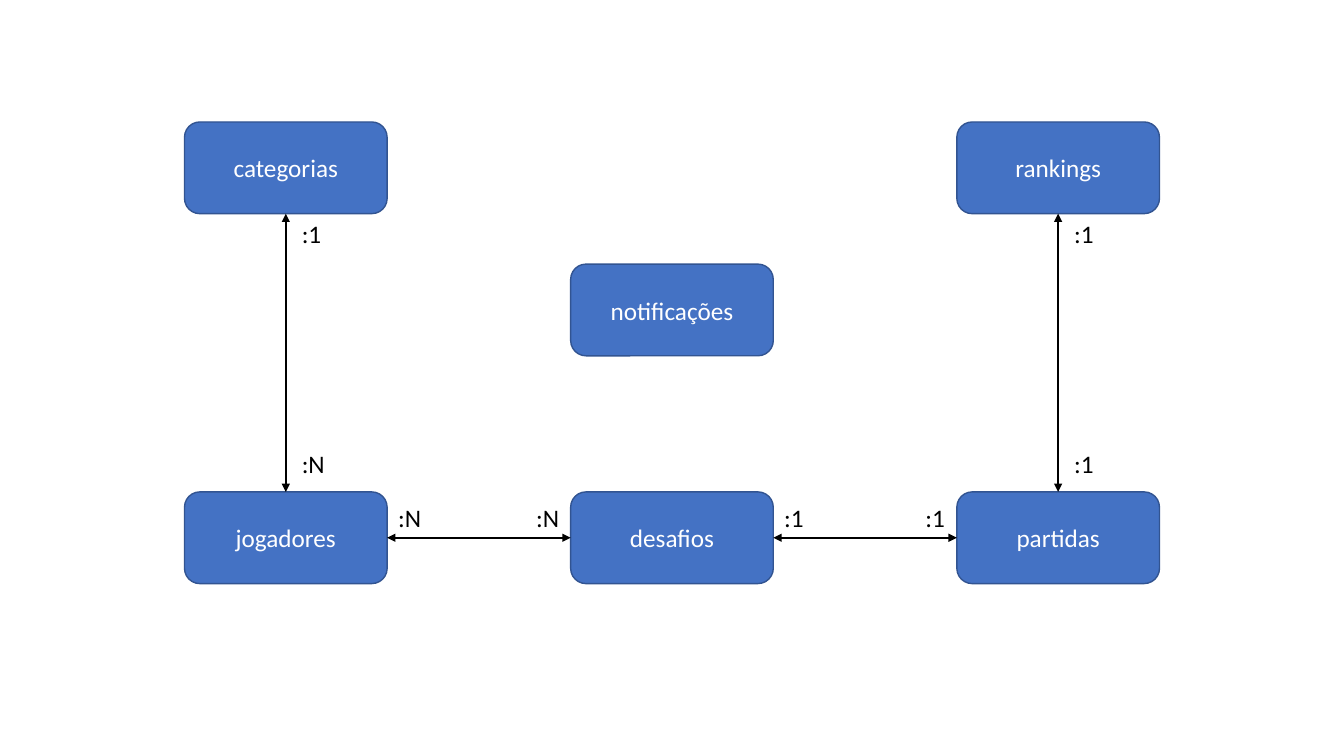
from pptx import Presentation
from pptx.dml.color import RGBColor
from pptx.enum.shapes import MSO_CONNECTOR as Connector, MSO_SHAPE as Shape
from pptx.enum.text import MSO_ANCHOR as Anchor, MSO_AUTO_SIZE as AutoSize, PP_ALIGN as Align
from pptx.oxml.ns import qn
from pptx.util import Inches, Pt
from lxml.etree import SubElement

BLUE = RGBColor(0x44, 0x72, 0xC4)
DARK_BLUE = RGBColor(0x32, 0x54, 0x91)
WHITE = RGBColor(0xFF, 0xFF, 0xFF)
BLACK = RGBColor(0x00, 0x00, 0x00)

ENTITY_WIDTH, ENTITY_HEIGHT = 2.01, 0.91
COLUMN_STEP = 3.83
LABEL_HEIGHT = 0.4
LABEL_WIDTHS = {":1": 0.4, ":N": 0.43}
TOP, LEFT, BOTTOM, RIGHT = range(4)

ENTITIES = {
    "categorias": (0, 0),
    "jogadores": (0, 3.67),
    "desafios": (1, 3.67),
    "partidas": (2, 3.67),
    "rankings": (2, 0),
    "notificações": (1, 1.41),
}
VERTICAL_RELATIONS = [
    ("categorias", ":1", "jogadores", ":N"),
    ("rankings", ":1", "partidas", ":1"),
]
HORIZONTAL_RELATIONS = [
    ("jogadores", ":N", "desafios", ":N"),
    ("desafios", ":1", "partidas", ":1"),
]


def format_text(frame, text, color, align):
    """Write one line of text in the diagram's font."""
    paragraph = frame.paragraphs[0]
    paragraph.text = text
    paragraph.alignment = align
    paragraph.font.name = "Calibri"
    paragraph.font.size = Pt(18)
    paragraph.font.color.rgb = color


def add_entity(slide, name, left, top):
    """Draw one named entity with its corner at left, top in inches."""
    entity = slide.shapes.add_shape(
        Shape.ROUNDED_RECTANGLE, Inches(left), Inches(top),
        Inches(ENTITY_WIDTH), Inches(ENTITY_HEIGHT))
    entity.shadow.inherit = False
    entity.fill.solid()
    entity.fill.fore_color.rgb = BLUE
    entity.line.color.rgb = DARK_BLUE
    entity.line.width = Pt(1)
    entity.text_frame.vertical_anchor = Anchor.MIDDLE
    format_text(entity.text_frame, name, WHITE, Align.CENTER)
    return entity


def add_arrow(slide, start, start_side, end, end_side):
    """Join two entities with a double-headed arrow."""
    arrow = slide.shapes.add_connector(Connector.STRAIGHT, 0, 0, 0, 0)
    arrow.begin_connect(start, start_side)
    arrow.end_connect(end, end_side)
    arrow.line.color.rgb = BLACK
    arrow.line.width = Pt(1.5)
    outline = arrow.line._get_or_add_ln()
    for tip in ("a:headEnd", "a:tailEnd"):
        SubElement(outline, qn(tip), type="triangle")
    SubElement(arrow._element.spPr, qn("a:effectLst"))


def add_cardinality(slide, text, left, top):
    """Place a cardinality label with its corner at left, top."""
    label = slide.shapes.add_textbox(
        left, top, Inches(LABEL_WIDTHS[text]), Inches(LABEL_HEIGHT))
    label.text_frame.word_wrap = False
    label.text_frame.auto_size = AutoSize.SHAPE_TO_FIT_TEXT
    format_text(label.text_frame, text, BLACK, Align.LEFT)


def add_vertical_relation(slide, upper, upper_count, lower, lower_count):
    """Relate an entity to the one below it, with labels right of the arrow."""
    add_arrow(slide, upper, BOTTOM, lower, TOP)
    left = upper.left + upper.width // 2 + Inches(0.06)
    add_cardinality(slide, upper_count, left, upper.top + upper.height)
    add_cardinality(slide, lower_count, left, lower.top - Inches(0.48))


def add_horizontal_relation(slide, first, first_count, second, second_count):
    """Relate an entity to the one on its right, with labels above the arrow."""
    add_arrow(slide, second, LEFT, first, RIGHT)
    top = first.top + Inches(0.05)
    add_cardinality(slide, first_count, first.left + first.width + Inches(0.01), top)
    second_left = second.left - Inches(LABEL_WIDTHS[second_count] + 0.01)
    add_cardinality(slide, second_count, second_left, top)


def add_diagram(slide, left, top):
    """Draw the entities and their relations from the corner left, top."""
    entities = {
        name: add_entity(slide, name, left + column * COLUMN_STEP, top + offset)
        for name, (column, offset) in ENTITIES.items()
    }
    for upper, upper_count, lower, lower_count in VERTICAL_RELATIONS:
        add_vertical_relation(
            slide, entities[upper], upper_count, entities[lower], lower_count)
    for first, first_count, second, second_count in HORIZONTAL_RELATIONS:
        add_horizontal_relation(
            slide, entities[first], first_count, entities[second], second_count)


def main():
    """Build the entity diagram slide and save it."""
    deck = Presentation()
    deck.slide_width, deck.slide_height = Inches(13.33), Inches(7.5)
    slide = deck.slides.add_slide(deck.slide_layouts[6])
    add_diagram(slide, 1.83, 1.21)
    deck.save("out.pptx")


if __name__ == "__main__":
    main()
